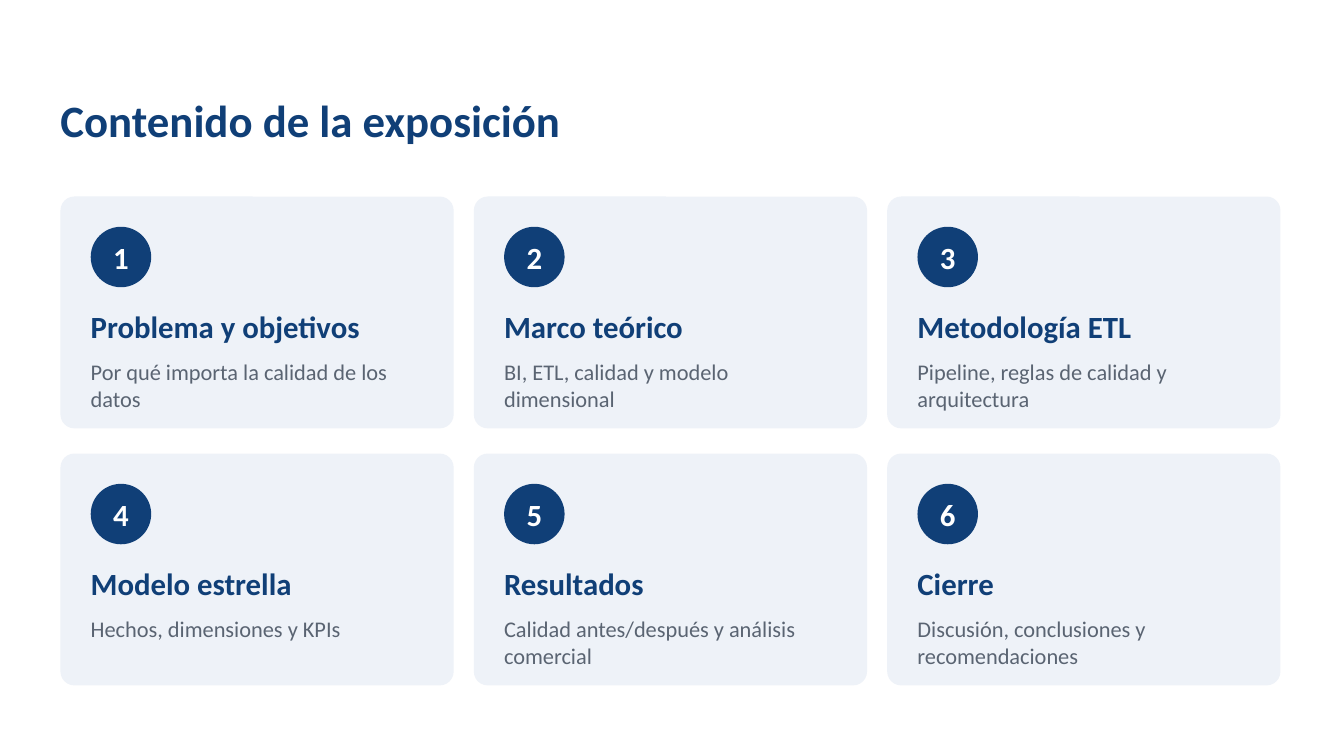
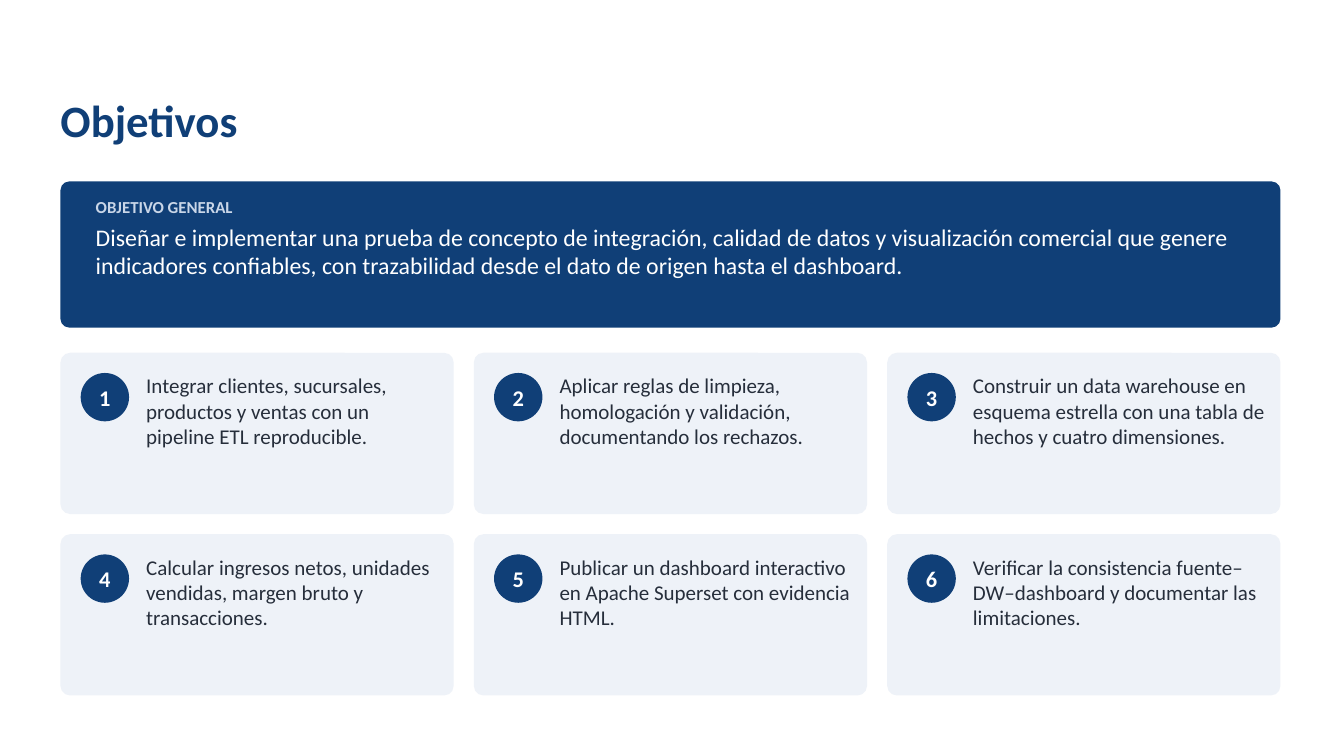
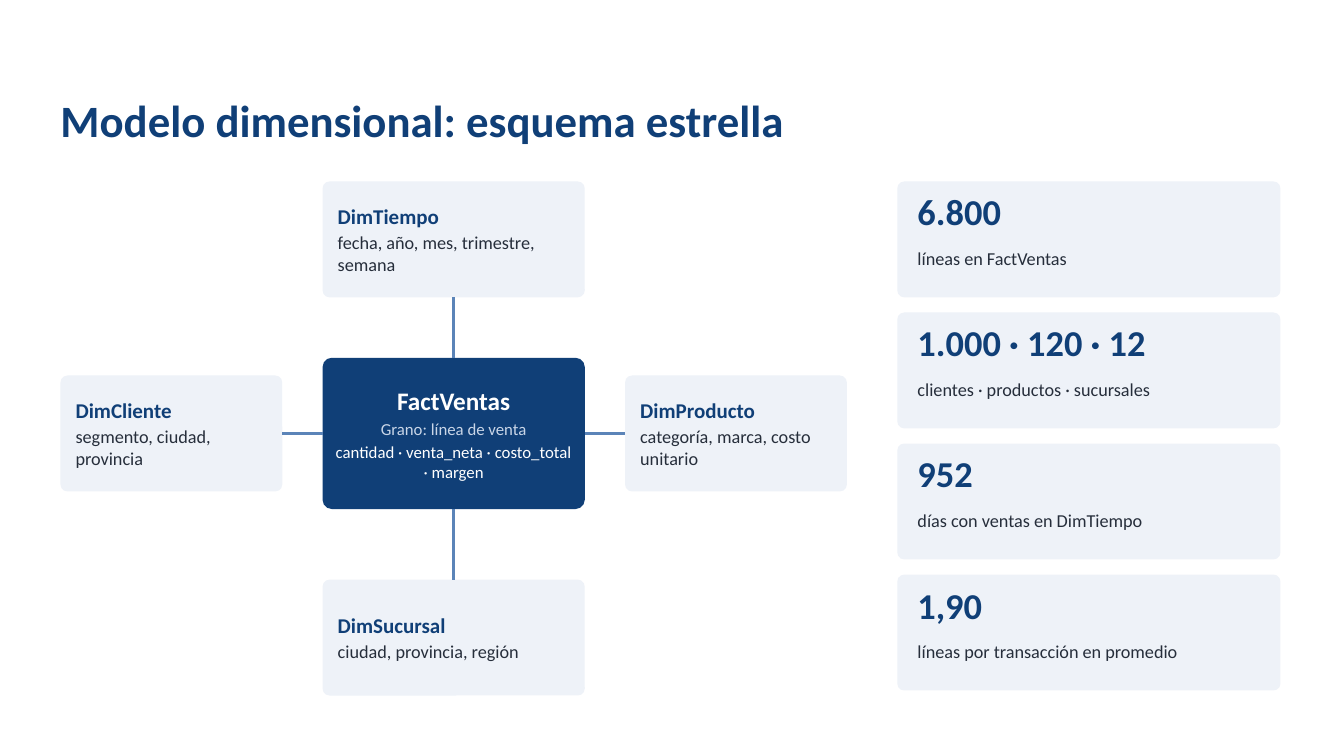
from dataclasses import dataclass
from typing import NamedTuple

from lxml.etree import SubElement
from pptx import Presentation
from pptx.dml.color import RGBColor as Color
from pptx.enum.shapes import MSO_CONNECTOR as Connector, MSO_SHAPE as Preset
from pptx.enum.text import MSO_ANCHOR as Anchor, PP_ALIGN as Align
from pptx.oxml.ns import qn
from pptx.util import Inches, Pt


@dataclass(frozen=True)
class Style:
    size: int
    color: str
    bold: bool = False
    after: int = 0
    spacing: float = 1.0


class Theme:
    font = "Calibri"
    white, navy, pale = "FFFFFF", "103F77", "EEF2F8"
    ink, gray, mist, link = "262E3B", "5A6472", "C9D6E8", "5B84B8"
    corner = 0.06
    link_width = 2.5
    title = Style(32, navy, True, spacing=0.9)
    topic_number = Style(22, white, True)
    topic_heading = Style(22, navy, True)
    topic_detail = Style(16, gray)
    goal_label = Style(12, mist, True, after=4)
    goal_text = Style(17, white)
    objective_number = Style(16, white, True)
    objective_text = Style(15, ink)
    dimension_name = Style(15, navy, True, after=2)
    small_text = Style(13, ink)
    fact_name = Style(18, white, True, after=2)
    fact_grain = Style(12, mist, after=2)
    fact_measures = Style(12, white)
    figure = Style(26, navy, True)


class Box(NamedTuple):
    left: float
    top: float
    width: float
    height: float

    def within(self, left, top, width, height):
        return Box(self.left + left, self.top + top, width, height)

    def inset(self, across, down):
        return self.within(across, down, self.width - 2 * across, self.height - 2 * down)

    def lengths(self):
        return [Inches(round(value, 3)) for value in self]


LEFT, CONTENT_WIDTH = 0.6, 12.1
TOP_SITE, LEFT_SITE, BOTTOM_SITE, RIGHT_SITE = range(4)

TOPICS = [
    ("Problema y objetivos", "Por qué importa la calidad de los datos"),
    ("Marco teórico", "BI, ETL, calidad y modelo dimensional"),
    ("Metodología ETL", "Pipeline, reglas de calidad y arquitectura"),
    ("Modelo estrella", "Hechos, dimensiones y KPIs"),
    ("Resultados", "Calidad antes/después y análisis comercial"),
    ("Cierre", "Discusión, conclusiones y recomendaciones"),
]
GENERAL_GOAL = (
    "Diseñar e implementar una prueba de concepto de integración, calidad de datos "
    "y visualización comercial que genere indicadores confiables, con trazabilidad "
    "desde el dato de origen hasta el dashboard."
)
OBJECTIVES = [
    "Integrar clientes, sucursales, productos y ventas con un pipeline ETL reproducible.",
    "Aplicar reglas de limpieza, homologación y validación, documentando los rechazos.",
    "Construir un data warehouse en esquema estrella con una tabla de hechos y cuatro dimensiones.",
    "Calcular ingresos netos, unidades vendidas, margen bruto y transacciones.",
    "Publicar un dashboard interactivo en Apache Superset con evidencia HTML.",
    "Verificar la consistencia fuente–DW–dashboard y documentar las limitaciones.",
]
FIGURES = [
    ("6.800", "líneas en FactVentas"),
    ("1.000 · 120 · 12", "clientes · productos · sucursales"),
    ("952", "días con ventas en DimTiempo"),
    ("1,90", "líneas por transacción en promedio"),
]


def set_values(target, values):
    for name, value in values.items():
        setattr(target, name, value)


def write(frame, lines, anchor=Anchor.TOP, align=Align.LEFT, margins=(0, 0, 0, 0)):
    left, top, right, bottom = map(Inches, margins)
    set_values(frame, {
        "word_wrap": True, "vertical_anchor": anchor,
        "margin_left": left, "margin_top": top,
        "margin_right": right, "margin_bottom": bottom,
    })
    for index, (text, style) in enumerate(lines):
        paragraph = frame.add_paragraph() if index else frame.paragraphs[0]
        set_values(paragraph, {
            "text": text, "alignment": align,
            "space_after": Pt(style.after), "line_spacing": style.spacing,
        })
        font = paragraph.runs[0].font
        set_values(font, {"name": Theme.font, "size": Pt(style.size), "bold": style.bold})
        font.color.rgb = Color.from_string(style.color)


def add_text(slide, box, *lines, **layout):
    write(slide.shapes.add_textbox(*box.lengths()).text_frame, lines, **layout)


def add_filled(slide, preset, box, color):
    shape = slide.shapes.add_shape(preset, *box.lengths())
    shape.shadow.inherit = False
    shape.fill.solid()
    shape.fill.fore_color.rgb = Color.from_string(color)
    shape.line.fill.background()
    return shape


def add_card(slide, box, color=Theme.pale):
    card = add_filled(slide, Preset.ROUNDED_RECTANGLE, box, color)
    card.adjustments[0] = Theme.corner
    return card


def add_badge(slide, box, number, style):
    badge = add_filled(slide, Preset.OVAL, box, Theme.navy)
    write(badge.text_frame, [(str(number), style)], Anchor.MIDDLE, Align.CENTER)


def add_link(slide, start, start_site, end, end_site):
    link = slide.shapes.add_connector(Connector.STRAIGHT, 0, 0, 0, 0)
    link.begin_connect(start, start_site)
    link.end_connect(end, end_site)
    link.line.color.rgb = Color.from_string(Theme.link)
    link.line.width = Pt(Theme.link_width)
    SubElement(link._element.spPr, qn("a:effectLst"))


def grid(area, columns, rows, gap_across, gap_down):
    width = (area.width - gap_across * (columns - 1)) / columns
    height = (area.height - gap_down * (rows - 1)) / rows
    return [
        area.within(column * (width + gap_across), row * (height + gap_down), width, height)
        for row in range(rows) for column in range(columns)
    ]


def add_titled_slide(presentation, title):
    slide = presentation.slides.add_slide(presentation.slide_layouts[6])
    slide.background.fill.solid()
    slide.background.fill.fore_color.rgb = Color.from_string(Theme.white)
    add_text(slide, Box(LEFT, 0.82, CONTENT_WIDTH, 0.8), (title, Theme.title),
             anchor=Anchor.MIDDLE, margins=(0, 0.05, 0.1, 0.05))
    return slide


def add_topic(slide, box, number, heading, detail):
    add_card(slide, box)
    add_badge(slide, box.within(0.3, 0.3, 0.6, 0.6), number, Theme.topic_number)
    add_text(slide, box.within(0.3, 1.1, box.width - 0.6, 0.45), (heading, Theme.topic_heading))
    add_text(slide, box.within(0.3, 1.6, box.width - 0.6, 0.6), (detail, Theme.topic_detail))


def add_general_goal(slide, box):
    add_card(slide, box, Theme.navy)
    add_text(slide, box.within(0.35, 0.15, box.width - 0.7, box.height - 0.25),
             ("OBJETIVO GENERAL", Theme.goal_label), (GENERAL_GOAL, Theme.goal_text))


def add_objective(slide, box, number, text):
    add_card(slide, box)
    add_badge(slide, box.within(0.2, 0.2, 0.48, 0.48), number, Theme.objective_number)
    add_text(slide, box.within(0.85, 0.2, box.width - 1, box.height - 0.3),
             (text, Theme.objective_text))


def add_dimension(slide, box, name, fields):
    card = add_card(slide, box)
    add_text(slide, box.inset(0.15, 0.1), (name, Theme.dimension_name),
             (fields, Theme.small_text), anchor=Anchor.MIDDLE)
    return card


def add_fact(slide, box):
    card = add_card(slide, box, Theme.navy)
    add_text(slide, box.inset(0.1, 0.05),
             ("FactVentas", Theme.fact_name),
             ("Grano: línea de venta", Theme.fact_grain),
             ("cantidad · venta_neta · costo_total · margen", Theme.fact_measures),
             anchor=Anchor.MIDDLE, align=Align.CENTER)
    return card


def add_star(slide, area):
    fact_box = area.within(2.6, 1.75, 2.6, 1.5)
    fact = add_fact(slide, fact_box)
    height, side_width = 1.15, 2.2
    middle = fact_box.top - area.top + (fact_box.height - height) / 2
    dimensions = [
        (area.within(2.6, 0, fact_box.width, height), TOP_SITE, BOTTOM_SITE,
         "DimTiempo", "fecha, año, mes, trimestre, semana"),
        (area.within(2.6, area.height - height, fact_box.width, height), BOTTOM_SITE, TOP_SITE,
         "DimSucursal", "ciudad, provincia, región"),
        (area.within(0, middle, side_width, height), LEFT_SITE, RIGHT_SITE,
         "DimCliente", "segmento, ciudad, provincia"),
        (area.within(area.width - side_width, middle, side_width, height), RIGHT_SITE, LEFT_SITE,
         "DimProducto", "categoría, marca, costo unitario"),
    ]
    for box, fact_site, dimension_site, name, fields in dimensions:
        dimension = add_dimension(slide, box, name, fields)
        add_link(slide, fact, fact_site, dimension, dimension_site)


def add_figure(slide, box, value, label):
    add_card(slide, box)
    add_text(slide, box.within(0.2, 0.08, box.width - 0.4, 0.55), (value, Theme.figure))
    add_text(slide, box.within(0.2, 0.65, box.width - 0.4, 0.4), (label, Theme.small_text))


def build_contents(presentation):
    slide = add_titled_slide(presentation, "Contenido de la exposición")
    boxes = grid(Box(LEFT, 1.95, CONTENT_WIDTH, 4.85), 3, 2, 0.2, 0.25)
    for number, (box, topic) in enumerate(zip(boxes, TOPICS), 1):
        add_topic(slide, box, number, *topic)


def build_objectives(presentation):
    slide = add_titled_slide(presentation, "Objetivos")
    add_general_goal(slide, Box(LEFT, 1.8, CONTENT_WIDTH, 1.45))
    boxes = grid(Box(LEFT, 3.5, CONTENT_WIDTH, 3.4), 3, 2, 0.2, 0.2)
    for number, (box, text) in enumerate(zip(boxes, OBJECTIVES), 1):
        add_objective(slide, box, number, text)


def build_model(presentation):
    slide = add_titled_slide(presentation, "Modelo dimensional: esquema estrella")
    add_star(slide, Box(LEFT, 1.8, 7.8, 5.1))
    boxes = grid(Box(8.9, 1.8, 3.8, 5.05), 1, 4, 0, 0.15)
    for box, figure in zip(boxes, FIGURES):
        add_figure(slide, box, *figure)


def main():
    presentation = Presentation()
    set_values(presentation, {"slide_width": Inches(13.33), "slide_height": Inches(7.5)})
    for build in (build_contents, build_objectives, build_model):
        build(presentation)
    presentation.save("out.pptx")


if __name__ == "__main__":
    main()
